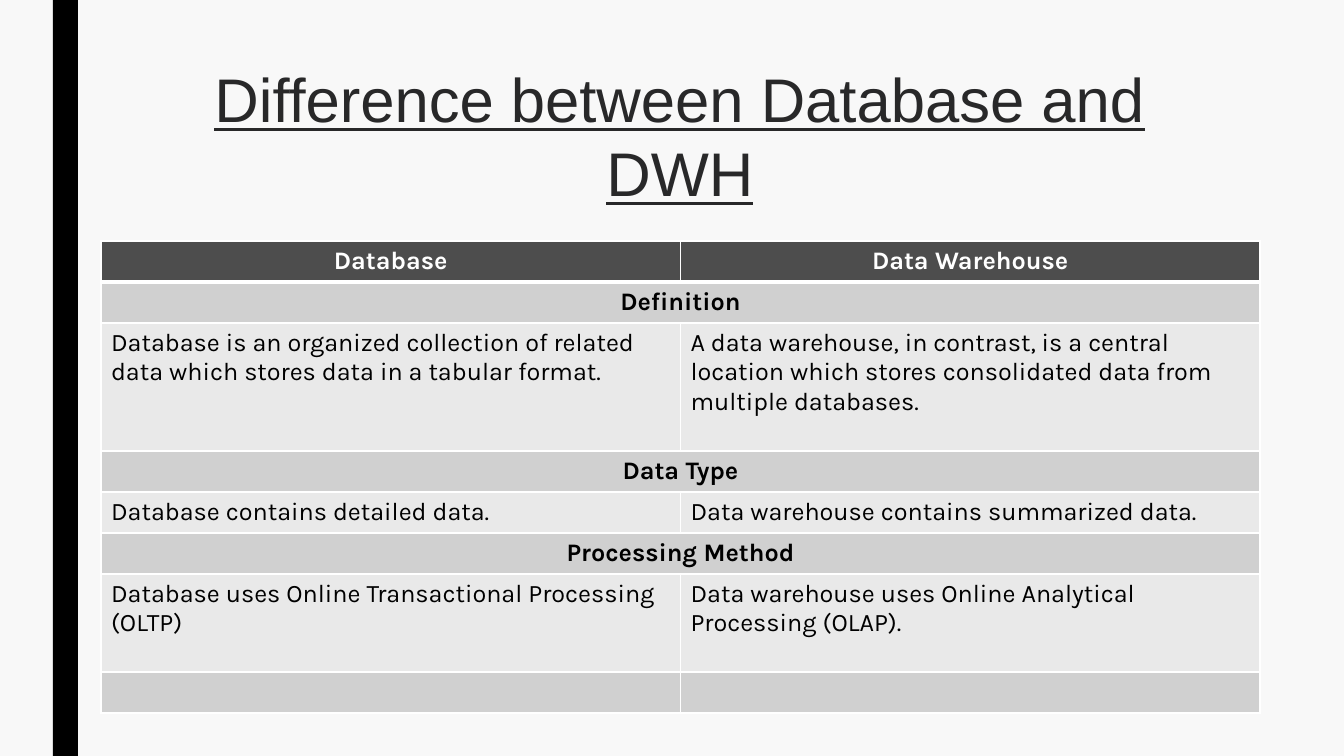
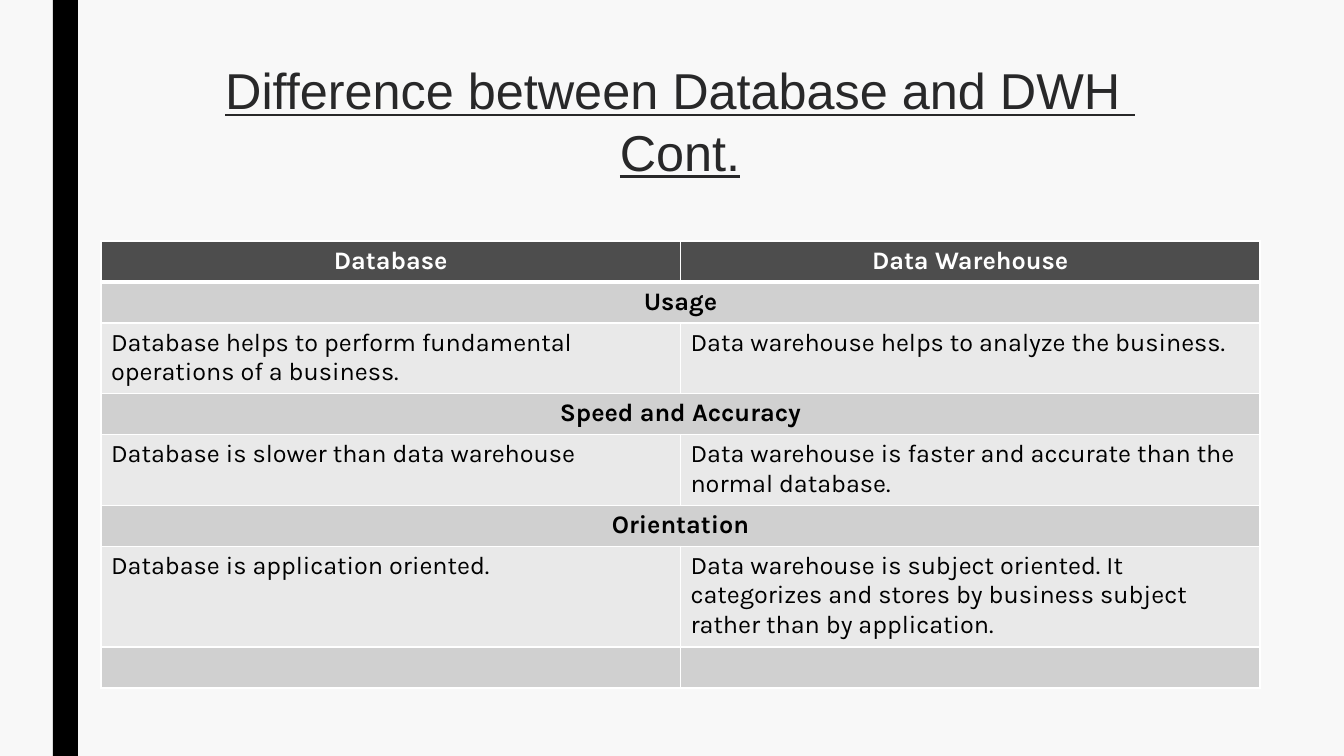
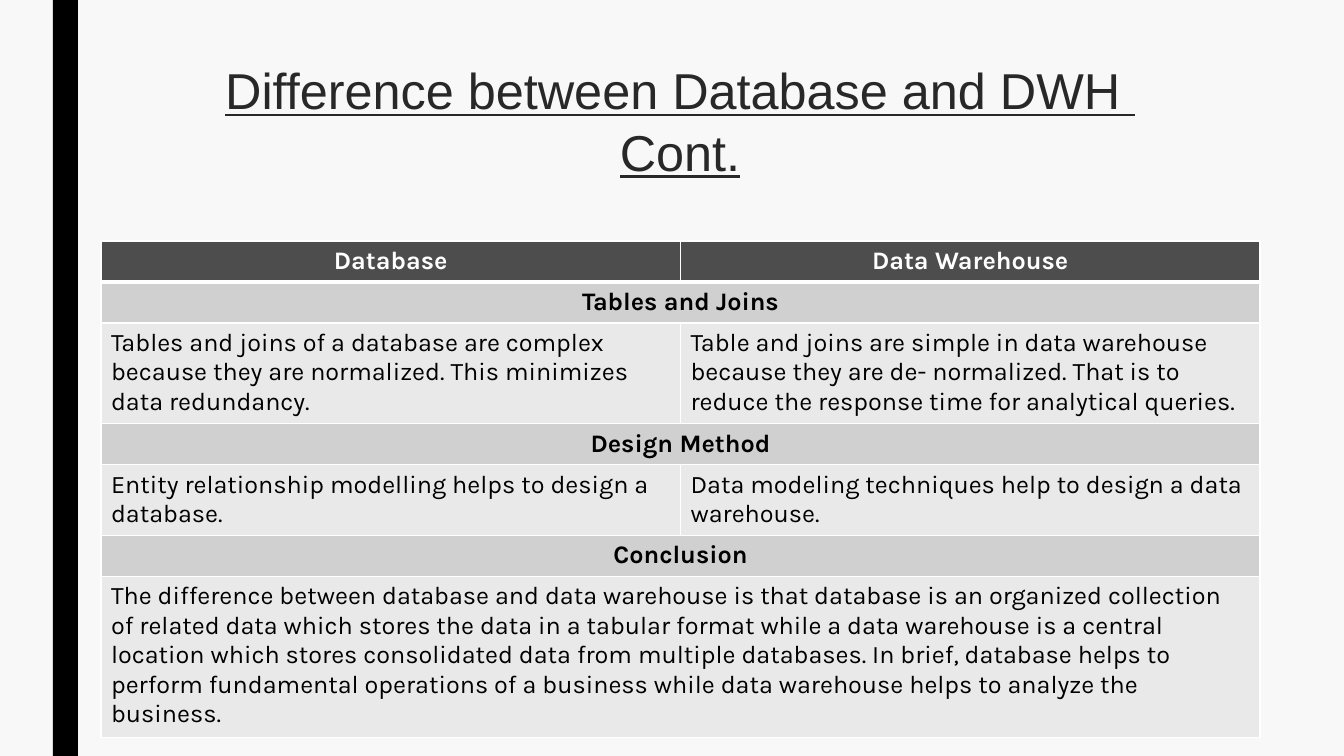
from dataclasses import dataclass

from lxml.etree import SubElement
from pptx import Presentation
from pptx.dml.color import RGBColor
from pptx.enum.shapes import MSO_SHAPE
from pptx.enum.text import MSO_ANCHOR, PP_ALIGN
from pptx.oxml.ns import qn
from pptx.util import Pt


@dataclass(frozen=True)
class Theme:
    background: str = "F8F8F8"
    bar: str = "000000"
    title: str = "282829"
    header_fill: str = "4D4D4D"
    heading_fill: str = "D0D0D0"
    body_fill: str = "E9E9E9"
    header_text: str = "FFFFFF"
    text: str = "000000"
    border: str = "FFFFFF"
    title_font: str = "Arial"
    table_font: str = "Karla"
    table_size: int = 18
    thin: int = 1
    thick: int = 3


THEME = Theme()

COLUMN_TITLES = ["Database", "Data Warehouse"]
CONTINUED = ["Difference between Database and DWH ", "Cont."]

# Each section: heading, height in text lines, cell texts (one text spans both columns).
SLIDES = [
    {
        "title": ["Difference between Database and DWH"],
        "title_size": 44, "title_pitch": 53, "anchor": MSO_ANCHOR.MIDDLE,
        "sections": [
            ("Definition", 4, [
                "Database is an organized collection of related data which stores data "
                "in a tabular format.",
                "A data warehouse, in contrast, is a central location which stores "
                "consolidated data from multiple databases."]),
            ("Data Type", 1, [
                "Database contains detailed data.",
                "Data warehouse contains summarized data."]),
            ("Processing Method", 3, [
                "Database uses Online Transactional Processing (OLTP)",
                "Data warehouse uses Online Analytical Processing (OLAP)."]),
        ],
        "closing_row": True,
    },
    {
        "title": CONTINUED,
        "title_size": 36, "title_pitch": 44, "anchor": MSO_ANCHOR.TOP,
        "sections": [
            ("Usage", 2, [
                "Database helps to perform fundamental operations of a business.",
                "Data warehouse helps to analyze the business."]),
            ("Speed and Accuracy", 2, [
                "Database is slower than data warehouse",
                "Data warehouse is faster and accurate than the normal database."]),
            ("Orientation", 3, [
                "Database is application oriented.",
                "Data warehouse is subject oriented. It categorizes and stores by "
                "business subject rather than by application."]),
        ],
        "closing_row": True,
    },
    {
        "title": CONTINUED,
        "title_size": 36, "title_pitch": 44, "anchor": MSO_ANCHOR.TOP,
        "sections": [
            ("Tables and Joins", 3, [
                "Tables and joins of a database are complex because they are normalized. "
                "This minimizes data redundancy.",
                "Table and joins are simple in data warehouse because they are "
                "de- normalized. That is to reduce the response time for analytical "
                "queries."]),
            ("Design Method", 2, [
                "Entity relationship modelling helps to design a database.",
                "Data modeling techniques help to design a data warehouse."]),
            ("Conclusion", 4, [
                "The difference between database and data warehouse is that database is "
                "an organized collection of related data which stores the data in a "
                "tabular format while a data warehouse is a central location which "
                "stores consolidated data from multiple databases. In brief, database "
                "helps to perform fundamental operations of a business while data "
                "warehouse helps to analyze the business."]),
        ],
        "closing_row": False,
    },
]

SLIDE_SIZE = (1344, 756)
BAR_BOX = (53, 0, 25, 756)
TITLE_BOX = (151, 53, 1058, 164)
TABLE_LEFT, TABLE_TOP, TABLE_WIDTH = 101, 241, 1159
SINGLE_ROW, LINE_HEIGHT, CELL_PADDING = 41, 29.5, 10


def px(value):
    return round(value * 914400 / 100.8)


def box(lengths):
    return [px(length) for length in lengths]


def rgb(color):
    return RGBColor.from_string(color)


def fill_solid(fill, color):
    fill.solid()
    fill.fore_color.rgb = rgb(color)


def add_run(paragraph, text, font_name, size, color, bold=False, underline=False):
    run = paragraph.add_run()
    run.text = text
    font = run.font
    font.name, font.size, font.color.rgb = font_name, Pt(size), rgb(color)
    font.bold, font.underline = bold, underline


def add_bar(slide):
    bar = slide.shapes.add_shape(MSO_SHAPE.RECTANGLE, *box(BAR_BOX))
    bar.shadow.inherit = False
    fill_solid(bar.fill, THEME.bar)
    bar.line.fill.background()


def add_title(slide, content):
    frame = slide.shapes.add_textbox(*box(TITLE_BOX)).text_frame
    frame.word_wrap = True
    frame.vertical_anchor = content["anchor"]
    paragraph = frame.paragraphs[0]
    paragraph.alignment = PP_ALIGN.CENTER
    paragraph.line_spacing = Pt(content["title_pitch"])
    for index, line in enumerate(content["title"]):
        if index:
            paragraph.add_line_break()
        add_run(paragraph, line, THEME.title_font, content["title_size"],
                THEME.title, underline=True)


def set_borders(cell, top, bottom):
    properties = cell._tc.get_or_add_tcPr()
    widths = {"a:lnL": THEME.thin, "a:lnR": THEME.thin, "a:lnT": top, "a:lnB": bottom}
    for tag, width in widths.items():
        line = SubElement(properties, qn(tag), w=str(Pt(width)))
        fill = SubElement(line, qn("a:solidFill"))
        SubElement(fill, qn("a:srgbClr"), val=THEME.border)


def table_rows(content):
    """List every row as (texts, height in lines, fill, text colour, is heading)."""
    rows = [(COLUMN_TITLES, 1, THEME.header_fill, THEME.header_text, True)]
    for heading, lines, texts in content["sections"]:
        rows.append(([heading], 1, THEME.heading_fill, THEME.text, True))
        rows.append((texts, lines, THEME.body_fill, THEME.text, False))
    if content["closing_row"]:
        rows.append(([], 1, THEME.heading_fill, THEME.text, False))
    return rows


def add_comparison(slide, content):
    rows = table_rows(content)
    heights = [max(SINGLE_ROW, round(CELL_PADDING + LINE_HEIGHT * row[1])) for row in rows]
    table = slide.shapes.add_table(
        len(rows), len(COLUMN_TITLES),
        *box((TABLE_LEFT, TABLE_TOP, TABLE_WIDTH, sum(heights)))).table
    table.first_row = table.horz_banding = False

    for index, (texts, _, fill, color, is_heading) in enumerate(rows):
        table.rows[index].height = px(heights[index])
        cells = list(table.rows[index].cells)
        for cell in cells:
            set_borders(cell,
                        top=THEME.thick if index == 1 else THEME.thin,
                        bottom=THEME.thick if index == 0 else THEME.thin)
            fill_solid(cell.fill, fill)
        if len(texts) == 1:
            cells[0].merge(cells[-1])
        for cell, text in zip(cells, texts):
            paragraph = cell.text_frame.paragraphs[0]
            paragraph.alignment = PP_ALIGN.CENTER if is_heading else PP_ALIGN.LEFT
            add_run(paragraph, text, THEME.table_font, THEME.table_size, color,
                    bold=is_heading)


def main():
    presentation = Presentation()
    presentation.slide_width, presentation.slide_height = box(SLIDE_SIZE)
    fill_solid(presentation.slide_master.background.fill, THEME.background)
    for content in SLIDES:
        slide = presentation.slides.add_slide(presentation.slide_layouts[6])
        add_bar(slide)
        add_title(slide, content)
        add_comparison(slide, content)
    presentation.save("out.pptx")


if __name__ == "__main__":
    main()
